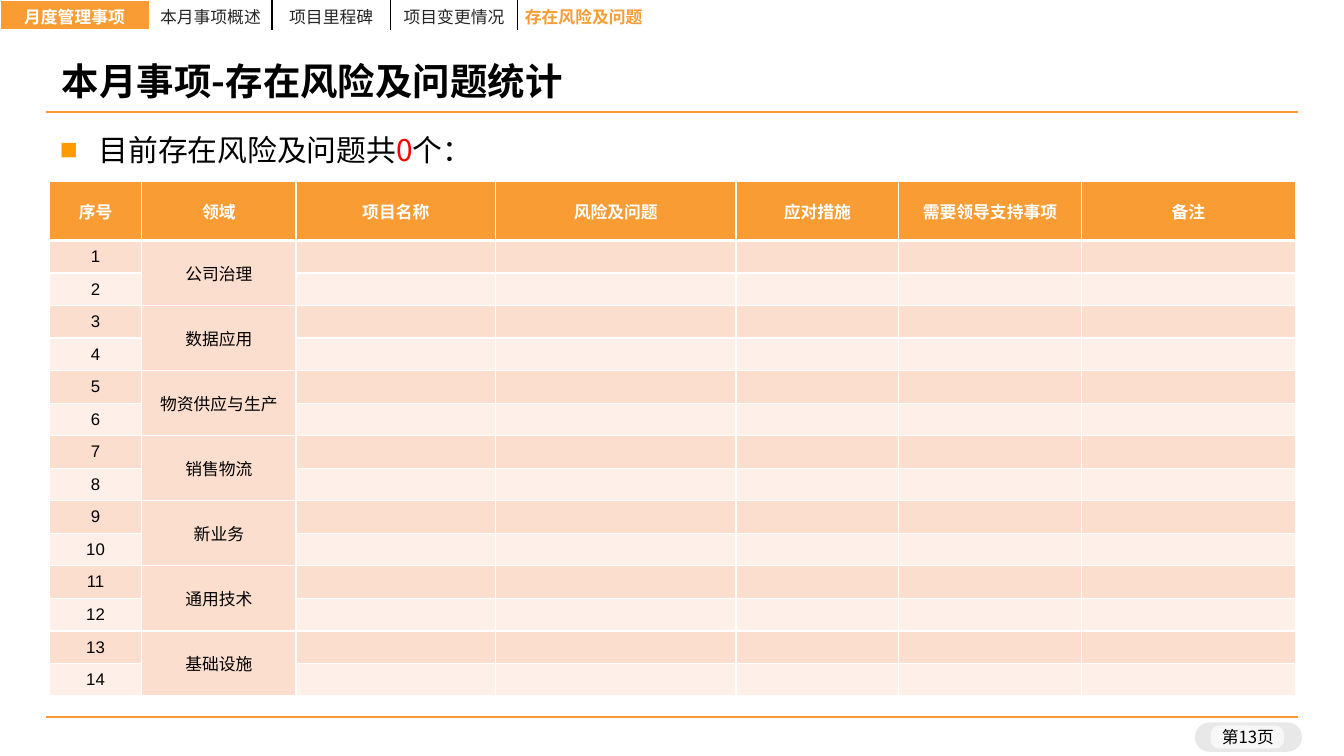
from dataclasses import dataclass, replace

from lxml.etree import SubElement
from pptx import Presentation
from pptx.dml.color import RGBColor
from pptx.enum.shapes import MSO_CONNECTOR as Connector, MSO_SHAPE as Preset
from pptx.enum.text import MSO_ANCHOR as Anchor, MSO_AUTO_SIZE as AutoSize, PP_ALIGN as Align
from pptx.oxml.ns import qn
from pptx.util import Emu, Pt

PX = 9525
CJK, LATIN = "Noto Sans CJK SC", "Arial"
BLACK = RGBColor(0x00, 0x00, 0x00)
WHITE = RGBColor(0xFF, 0xFF, 0xFF)
RED = RGBColor(0xFF, 0x00, 0x00)
INK = RGBColor(0x26, 0x26, 0x26)
ORANGE = RGBColor(0xF8, 0x9C, 0x33)
RULE = RGBColor(0xFF, 0x99, 0x33)
BULLET = RGBColor(0xFF, 0x99, 0x00)
DARK_BAND = RGBColor(0xFC, 0xDE, 0xCE)
LIGHT_BAND = RGBColor(0xFE, 0xEF, 0xE8)


@dataclass(frozen=True)
class Box:
    left: int
    top: int
    width: int
    height: int

    def emu(self) -> list[Emu]:
        return [px(n) for n in (self.left, self.top, self.width, self.height)]


@dataclass(frozen=True)
class Look:
    size: float
    color: RGBColor
    bold: bool = False
    face: str = CJK


@dataclass(frozen=True)
class Pill:
    box: Box
    color: RGBColor
    alpha: int
    radius: float


@dataclass(frozen=True)
class Edge:
    side: str
    color: RGBColor
    points: float = 1


@dataclass(frozen=True)
class Tab:
    text: str
    width: int
    look: Look
    edges: tuple[Edge, ...] = ()
    fill: RGBColor | None = None


TAB = Look(12, INK)
HEADING = Look(12, WHITE, True, LATIN)
ENTRY = Look(12, BLACK, face=LATIN)
LEFT, RIGHT = Edge("lnL", BLACK), Edge("lnR", BLACK)
GRID = tuple(Edge(side, WHITE) for side in ("lnL", "lnR", "lnT", "lnB"))
HEADING_GRID = GRID[:3] + (Edge("lnB", WHITE, 3),)

PILLS = [
    Pill(Box(1138, 688, 102, 28), BLACK, 9, 0.5),
    Pill(Box(1153, 691, 70, 22), WHITE, 66, 0.364),
]
TABS = [
    Tab("月度管理事项", 142, replace(TAB, color=WHITE, bold=True), fill=ORANGE),
    Tab("本月事项概述", 117, TAB, (RIGHT,)),
    Tab("项目里程碑", 113, TAB, (LEFT, RIGHT)),
    Tab("项目变更情况", 121, TAB, (LEFT, RIGHT)),
    Tab("存在风险及问题", 219, replace(TAB, color=ORANGE, bold=True), (LEFT,)),
] + [Tab("", 142, TAB)] * 4
COLUMNS = {
    "序号": 88, "领域": 147, "项目名称": 190, "风险及问题": 229,
    "应对措施": 155, "需要领导支持事项": 174, "备注": 204,
}
DOMAINS = ["公司治理", "数据应用", "物资供应与生产", "销售物流", "新业务", "通用技术", "基础设施"]
ROWS_PER_DOMAIN = 2


def px(count: int) -> Emu:
    return Emu(count * PX)


def style_span(span, look: Look) -> None:
    span.font.size, span.font.bold, span.font.name = Pt(look.size), look.bold, look.face
    span.font.color.rgb = look.color
    SubElement(span.font._element, qn("a:ea"), typeface=CJK)


def set_margins(frame, across: int, down: int) -> None:
    frame.margin_left = frame.margin_right = px(across)
    frame.margin_top = frame.margin_bottom = px(down)


def place(shape, box: Box) -> None:
    shape.left, shape.top, shape.width, shape.height = box.emu()
    frame = shape.text_frame
    frame.auto_size = AutoSize.NONE
    frame.word_wrap = True
    set_margins(frame, 12, 7)


def fill_title(title) -> None:
    place(title, Box(47, 52, 1187, 54))
    title.text_frame.vertical_anchor = Anchor.MIDDLE
    title.text_frame.text = "本月事项-存在风险及问题统计"
    para = title.text_frame.paragraphs[0]
    para.alignment, para.line_spacing = Align.LEFT, 0.9
    style_span(para.runs[0], Look(26.7, BLACK, True))


def fill_summary(body) -> None:
    place(body, Box(45, 118, 1191, 82))
    body.text_frame.vertical_anchor = Anchor.TOP
    para = body.text_frame.paragraphs[0]
    para.space_before = Pt(0)
    props = para._p.get_or_add_pPr()
    props.set("marL", str(px(37)))
    props.set("indent", str(px(-37)))
    SubElement(SubElement(props, qn("a:buClr")), qn("a:srgbClr"), val=str(BULLET))
    SubElement(props, qn("a:buFont"), typeface=LATIN)
    SubElement(props, qn("a:buChar"), char="■")
    for text, color in (("目前存在风险及问题共", BLACK), ("0", RED), ("个：", BLACK)):
        span = para.add_run()
        span.text = text
        style_span(span, Look(21.3, color))


def add_rule(page, top: int) -> None:
    rule = page.shapes.add_connector(Connector.STRAIGHT, px(44), px(top), px(1236), px(top))
    rule.line.color.rgb, rule.line.width = RULE, Pt(1.5)
    SubElement(rule._element.spPr, qn("a:effectLst"))


def add_pill(page, pill: Pill) -> None:
    shape = page.shapes.add_shape(Preset.ROUNDED_RECTANGLE, *pill.box.emu())
    shape.adjustments[0] = pill.radius
    shape.shadow.inherit = False
    shape.line.fill.background()
    shape.fill.solid()
    shape.fill.fore_color.rgb = pill.color
    color = shape._element.spPr.find(qn("a:solidFill"))[0]
    SubElement(color, qn("a:alpha"), val=str(pill.alpha * 1000))


def add_page_number(page) -> None:
    frame = page.shapes.add_textbox(*Box(1137, 688, 103, 30).emu()).text_frame
    set_margins(frame, 0, 4)
    frame.word_wrap = False
    frame.vertical_anchor = Anchor.MIDDLE
    frame.text = "第13页"
    para = frame.paragraphs[0]
    para.alignment, para.line_spacing = Align.CENTER, 0.85
    style_span(para.runs[0], Look(12, BLACK))


def add_grid(page, box: Box, widths: list[int], heights: list[int]):
    grid = page.shapes.add_table(len(heights), len(widths), *box.emu()).table
    grid.first_row = grid.horz_banding = False
    for column, width in zip(grid.columns, widths):
        column.width = px(width)
    for row, height in zip(grid.rows, heights):
        row.height = px(height)
    return grid


def fill_cell(cell, text: str, look: Look, fill: RGBColor | None, edges: tuple[Edge, ...]) -> None:
    cell.vertical_anchor = Anchor.MIDDLE
    para = cell.text_frame.paragraphs[0]
    para.alignment = Align.CENTER
    if text:
        para.text = text
        style_span(para.runs[0], look)
    else:
        end = para._p.get_or_add_endParaRPr()
        end.set("sz", str(int(look.size * 100)))
        SubElement(end, qn("a:latin"), typeface=CJK)
    for edge in edges:
        line = SubElement(cell._tc.get_or_add_tcPr(), qn(f"a:{edge.side}"), w=str(Pt(edge.points)))
        SubElement(SubElement(line, qn("a:solidFill")), qn("a:srgbClr"), val=str(edge.color))
    if fill is None:
        cell.fill.background()
    else:
        cell.fill.solid()
        cell.fill.fore_color.rgb = fill


def add_risk_table(page) -> None:
    count = len(DOMAINS) * ROWS_PER_DOMAIN
    widths, heights = list(COLUMNS.values()), [56] + [31] * count
    grid = add_grid(page, Box(47, 173, sum(widths), sum(heights)), widths, heights)
    for column, heading in enumerate(COLUMNS):
        fill_cell(grid.cell(0, column), heading, HEADING, ORANGE, HEADING_GRID)
    for row in range(1, count + 1):
        domain, offset = divmod(row - 1, ROWS_PER_DOMAIN)
        texts = [str(row), "" if offset else DOMAINS[domain]] + [""] * (len(widths) - 2)
        for column, text in enumerate(texts):
            fill_cell(grid.cell(row, column), text, ENTRY, LIGHT_BAND if offset else DARK_BAND, GRID)
    for row in range(1, count + 1, ROWS_PER_DOMAIN):
        grid.cell(row, 1).merge(grid.cell(row + ROWS_PER_DOMAIN - 1, 1))


def add_tabs(page) -> None:
    widths = [tab.width for tab in TABS]
    grid = add_grid(page, Box(0, 0, sum(widths), 28), widths, [28])
    for cell, tab in zip(grid.iter_cells(), TABS):
        set_margins(cell, 0, 4)
        fill_cell(cell, tab.text, tab.look, tab.fill, tab.edges)
    current = grid.cell(0, 4)
    current.margin_left = px(7)
    current.text_frame.paragraphs[0].alignment = Align.LEFT


def main() -> None:
    deck = Presentation()
    deck.slide_width, deck.slide_height = px(1280), px(720)
    page = deck.slides.add_slide(deck.slide_layouts[1])
    fill_title(page.shapes.title)
    fill_summary(page.placeholders[1])
    for top in (107, 683):
        add_rule(page, top)
    for pill in PILLS:
        add_pill(page, pill)
    add_page_number(page)
    add_risk_table(page)
    add_tabs(page)
    deck.save("out.pptx")


if __name__ == "__main__":
    main()
